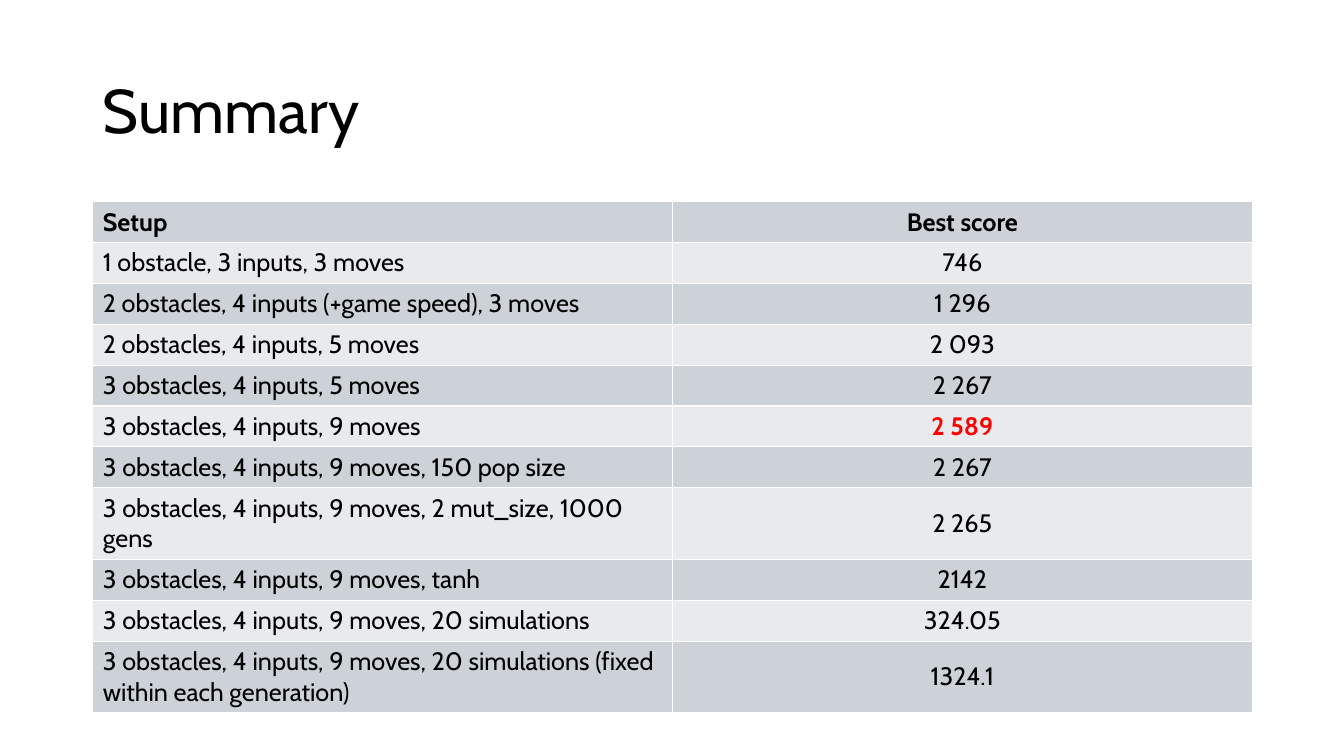
from lxml import etree
from pptx import Presentation
from pptx.dml.color import RGBColor
from pptx.enum.text import MSO_ANCHOR, MSO_AUTO_SIZE, PP_ALIGN
from pptx.oxml.ns import qn
from pptx.util import Inches, Pt

LEFT, CENTER = PP_ALIGN.LEFT, PP_ALIGN.CENTER
TOP, MIDDLE = MSO_ANCHOR.TOP, MSO_ANCHOR.MIDDLE
NO_FIT = MSO_AUTO_SIZE.NONE

COLORS = {"text": "000000", "best": "FF0000", "dark": "CCD2D8",
          "light": "E8EAED", "line": "FFFFFF"}
FONT = "Cabin"
BEST = "2 589"
ROWS = [
    ("Setup", "Best score"),
    ("1 obstacle, 3 inputs, 3 moves", "746"),
    ("2 obstacles, 4 inputs (+game speed), 3 moves", "1 296"),
    ("2 obstacles, 4 inputs, 5 moves", "2 093"),
    ("3 obstacles, 4 inputs, 5 moves", "2 267"),
    ("3 obstacles, 4 inputs, 9 moves", BEST),
    ("3 obstacles, 4 inputs, 9 moves, 150 pop size", "2 267"),
    ("3 obstacles, 4 inputs, 9 moves, 2 mut_size, 1000 gens", "2 265"),
    ("3 obstacles, 4 inputs, 9 moves, tanh", "2142"),
    ("3 obstacles, 4 inputs, 9 moves, 20 simulations", "324.05"),
    ("3 obstacles, 4 inputs, 9 moves, 20 simulations "
     "(fixed within each generation)", "1324.1"),
]


def add_text(para, text, size, color="text", bold=False):
    run = para.add_run()
    run.text = text
    run.font.name = FONT
    run.font.size = Pt(size)
    run.font.bold = bold
    run.font.color.rgb = RGBColor.from_string(COLORS[color])


def add_edges(cell):
    """Draw a thin line on all four sides; call before the cell's fill is set."""
    props = cell._tc.get_or_add_tcPr()
    for side in ("lnL", "lnR", "lnT", "lnB"):
        edge = etree.SubElement(props, qn(f"a:{side}"), w=str(Pt(1)))
        fill = etree.SubElement(edge, qn("a:solidFill"))
        etree.SubElement(fill, qn("a:srgbClr"), val=COLORS["line"])


prs = Presentation()
prs.slide_width, prs.slide_height = Inches(13.33), Inches(7.5)
slide = prs.slides.add_slide(prs.slide_layouts[5])
left, width = Inches(0.92), Inches(11.5)

# Title
title = slide.shapes.title
title.left, title.top = left, Inches(0.4)
title.width, title.height = width, Inches(1.45)
frame = title.text_frame
frame.word_wrap = True
frame.auto_size = NO_FIT
frame.vertical_anchor = MIDDLE
para = frame.paragraphs[0]
para.alignment = LEFT
para.line_spacing = 0.9
add_text(para, "Summary", 44)

# Score table
height = Pt(29.2)
table = slide.shapes.add_table(len(ROWS), 2, left, Inches(2), width,
                               height * len(ROWS)).table
table.first_row = table.horz_banding = False
for r, row in enumerate(ROWS):
    table.rows[r].height = height
    for c, text in enumerate(row):
        cell = table.cell(r, c)
        add_edges(cell)
        cell.fill.solid()
        shade = COLORS["light" if r % 2 else "dark"]
        cell.fill.fore_color.rgb = RGBColor.from_string(shade)
        cell.vertical_anchor = MIDDLE if r and c else TOP
        para = cell.text_frame.paragraphs[0]
        para.alignment = CENTER if c else LEFT
        best = text == BEST
        add_text(para, text, 18, "best" if best else "text", best or r == 0)

prs.save("out.pptx")
